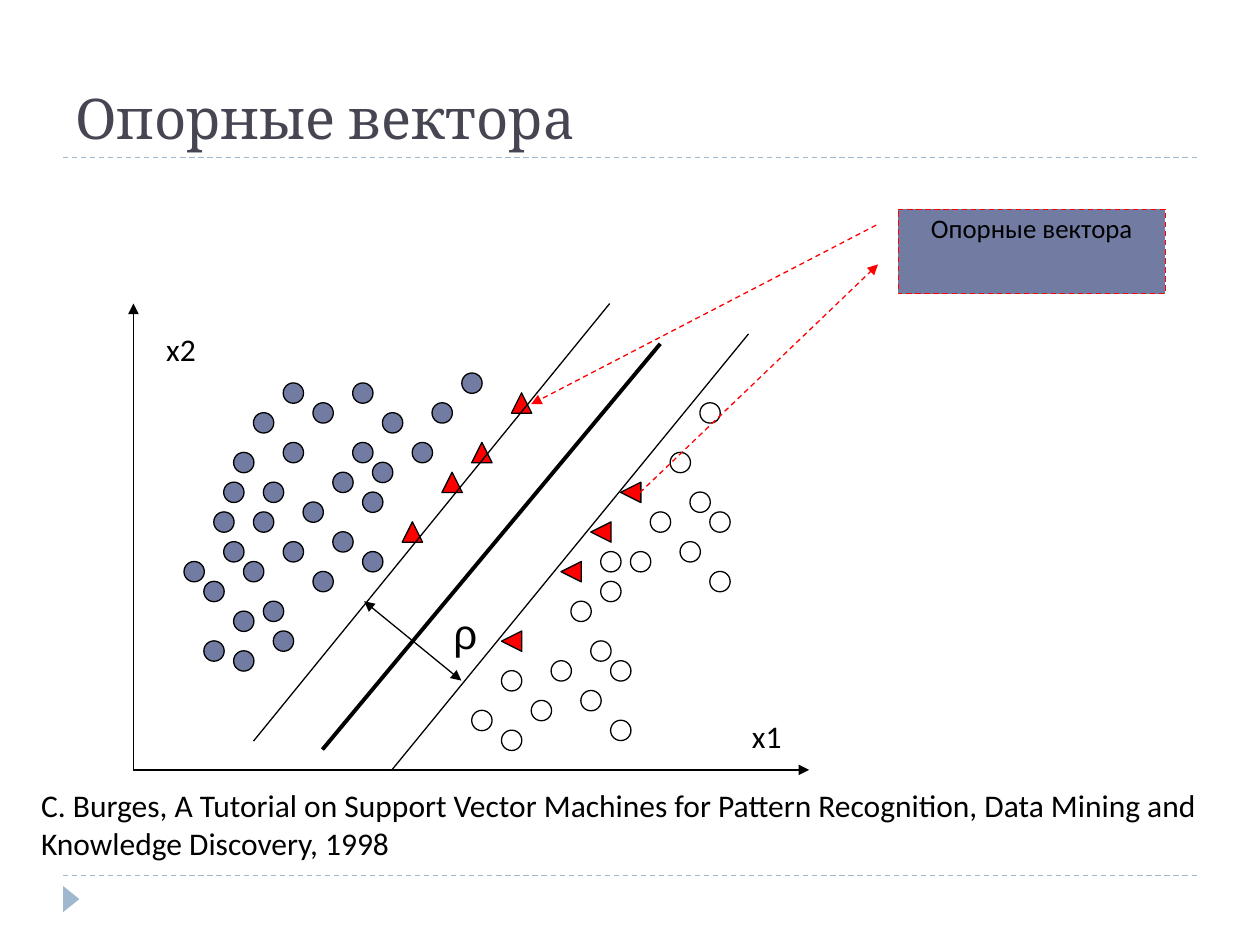
from lxml import etree
from pptx import Presentation
from pptx.dml.color import RGBColor
from pptx.enum.dml import MSO_LINE
from pptx.enum.shapes import MSO_CONNECTOR, MSO_SHAPE
from pptx.enum.text import MSO_ANCHOR, PP_ALIGN
from pptx.oxml.ns import qn
from pptx.util import Cm, Pt

OVAL, TRIANGLE = MSO_SHAPE.OVAL, MSO_SHAPE.ISOSCELES_TRIANGLE
CALLOUT = MSO_SHAPE.LINE_CALLOUT_1
STRAIGHT, DASH = MSO_CONNECTOR.STRAIGHT, MSO_LINE.DASH
TOP, BOTTOM = MSO_ANCHOR.TOP, MSO_ANCHOR.BOTTOM
LEFT, CENTER = PP_ALIGN.LEFT, PP_ALIGN.CENTER

BLACK = RGBColor(0x00, 0x00, 0x00)
RED = RGBColor(0xFF, 0x00, 0x00)
SLATE = RGBColor(0x72, 0x7C, 0xA3)
PALE_BLUE = RGBColor(0x9F, 0xB8, 0xCD)
TITLE_GREY = RGBColor(0x46, 0x46, 0x53)

# Markers sit on a 0.2 cm grid: (column, row)
GRID_STEP, GRID_LEFT, GRID_TOP, MARKER_SIZE = 0.2, 0.11, 0.12, 0.41
FIRST_CLASS = [
    (35, 38), (38, 41), (41, 44), (36, 55), (46, 37), (37, 46), (43, 40), (35, 44),
    (22, 48), (25, 51), (28, 54), (31, 57), (36, 49), (23, 65), (26, 60), (33, 47),
    (33, 53), (24, 56), (30, 50), (22, 54), (20, 58), (23, 61), (23, 45), (26, 48),
    (31, 40), (18, 56), (21, 51), (28, 38), (28, 44), (27, 63), (25, 41), (20, 64),
]
SECOND_CLASS = [
    (71, 57), (68, 54), (65, 51), (70, 40), (67, 45), (60, 58), (69, 49), (63, 55),
    (71, 51), (61, 72), (58, 69), (55, 66), (47, 71), (60, 55), (57, 60), (50, 73),
    (50, 67), (59, 64), (53, 70), (61, 66),
]
FIRST_SUPPORT = [(44, 47), (51, 39), (40, 52), (47, 44)]
SECOND_SUPPORT = [(62, 48), (56, 56), (59, 52), (50, 63)]


def write_text(frame, text, size, font="Calibri", color=BLACK, anchor=TOP,
               align=LEFT, spacing=None):
    """Fill a text frame with one formatted paragraph."""
    frame.word_wrap = True
    frame.vertical_anchor = anchor
    para = frame.paragraphs[0]
    para.alignment = align
    para.line_spacing = spacing
    span = para.add_run()
    span.text = text
    span.font.size = Pt(size)
    span.font.name = font
    span.font.color.rgb = color


def add_text(page, place, text, **style):
    box = page.shapes.add_textbox(*map(Cm, place))
    write_text(box.text_frame, text, **style)


def style_line(line, color, width=0.75, dash=None, arrows=()):
    """Set the stroke; arrows holds "headEnd" and/or "tailEnd", in that order."""
    line.color.rgb = color
    line.width = Pt(width)
    if dash:
        line.dash_style = dash
    stroke = line._get_or_add_ln()
    for end in arrows:
        etree.SubElement(stroke, qn("a:" + end), type="triangle")


def add_line(page, start, end, color=BLACK, **style):
    connector = page.shapes.add_connector(STRAIGHT, *map(Cm, start + end))
    style_line(connector.line, color, **style)
    etree.SubElement(connector._element.spPr, qn("a:effectLst"))


def add_shape(page, kind, place, fill=None, outline=None, rotation=0, **style):
    shape = page.shapes.add_shape(kind, *map(Cm, place))
    shape.shadow.inherit = False
    shape.rotation = rotation
    if fill is None:
        shape.fill.background()
    else:
        shape.fill.solid()
        shape.fill.fore_color.rgb = fill
    if outline is None:
        shape.line.fill.background()
    else:
        style_line(shape.line, outline, **style)
    return shape


def add_markers(page, cells, kind, fill=None, rotation=0):
    for column, row in cells:
        place = (GRID_LEFT + GRID_STEP * column, GRID_TOP + GRID_STEP * row,
                 MARKER_SIZE, MARKER_SIZE)
        add_shape(page, kind, place, fill, BLACK, rotation)


def add_callout(page, text):
    callout = add_shape(page, CALLOUT, (18.11, 4.22, 5.38, 1.7), SLATE, RED,
                        dash=DASH, arrows=["tailEnd"])
    for index, value in enumerate((0.188, -0.083, 2.312, -1.376)):
        callout.adjustments[index] = value
    write_text(callout.text_frame, text, size=15.3, align=CENTER, spacing=0.9)


def main():
    deck = Presentation()
    deck.slide_width, deck.slide_height = Cm(25.4), Cm(19.05)
    page = deck.slides.add_slide(deck.slide_layouts[6])

    # Page frame and title
    for height in (17.65, 3.18):
        add_line(page, (1.27, height), (24.13, height), PALE_BLUE, dash=DASH)
    add_shape(page, TRIANGLE, (1.17, 17.96, 0.53, 0.33), PALE_BLUE, rotation=90)
    add_text(page, (1.27, 0.43, 22.86, 2.74), "Опорные вектора", size=32,
             font="Cambria", color=TITLE_GREY, anchor=BOTTOM)

    # Data points and support vectors
    add_markers(page, FIRST_CLASS, OVAL, SLATE)
    add_markers(page, FIRST_SUPPORT, TRIANGLE, RED)
    add_markers(page, SECOND_CLASS, OVAL)
    add_markers(page, SECOND_SUPPORT, TRIANGLE, RED, rotation=270)

    # Axes
    origin = (2.69, 15.52)
    for tip in ((2.69, 6.12), (16.31, 15.52)):
        add_line(page, origin, tip, arrows=["tailEnd"])

    # Separating line, its margins and the margin width
    add_line(page, (6.5, 15.11), (13.31, 6.93), width=2.25)
    add_line(page, (5.11, 14.94), (12.29, 6.12))
    add_line(page, (7.9, 15.52), (15.09, 6.73))
    add_line(page, (7.34, 12.12), (9.3, 13.72), arrows=["headEnd", "tailEnd"])

    # Labels
    add_text(page, (8.89, 12.12, 0.99, 1.27), "ρ", size=24, font="Arial")
    add_text(page, (3.1, 6.53, 1.6, 1.02), "x2", size=18)
    add_text(page, (14.91, 14.33, 2.39, 1.02), "x1", size=18)

    # Callout with its second pointer
    add_callout(page, "Опорные вектора")
    add_line(page, (12.9, 9.93), (17.7, 5.33), RED, dash=DASH, arrows=["tailEnd"])

    # Reference
    add_text(page, (0.58, 15.72, 24.21, 2.54),
             "C. Burges, A Tutorial on Support Vector Machines for Pattern "
             "Recognition, Data Mining and Knowledge Discovery, 1998", size=18)

    deck.save("out.pptx")


if __name__ == "__main__":
    main()
